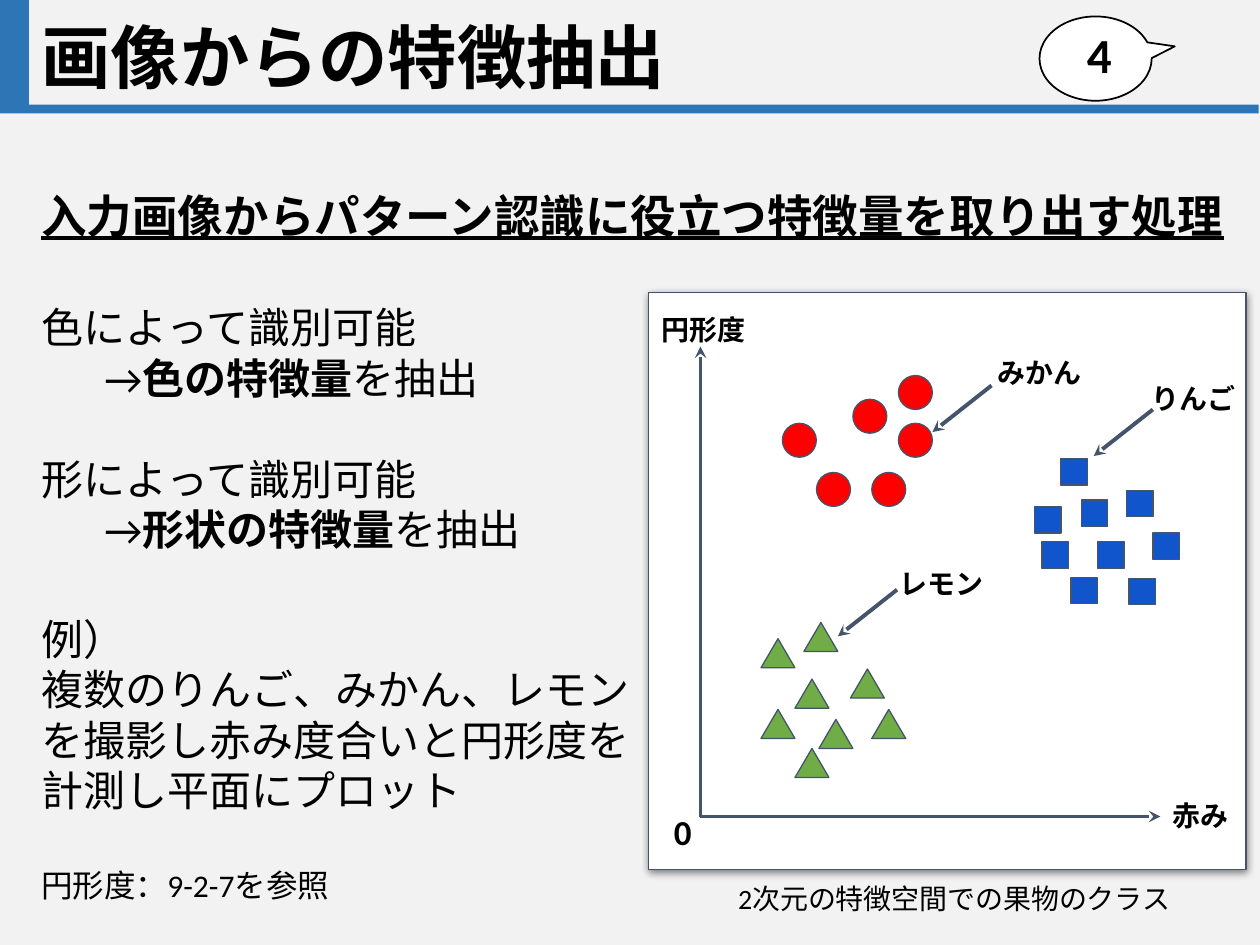
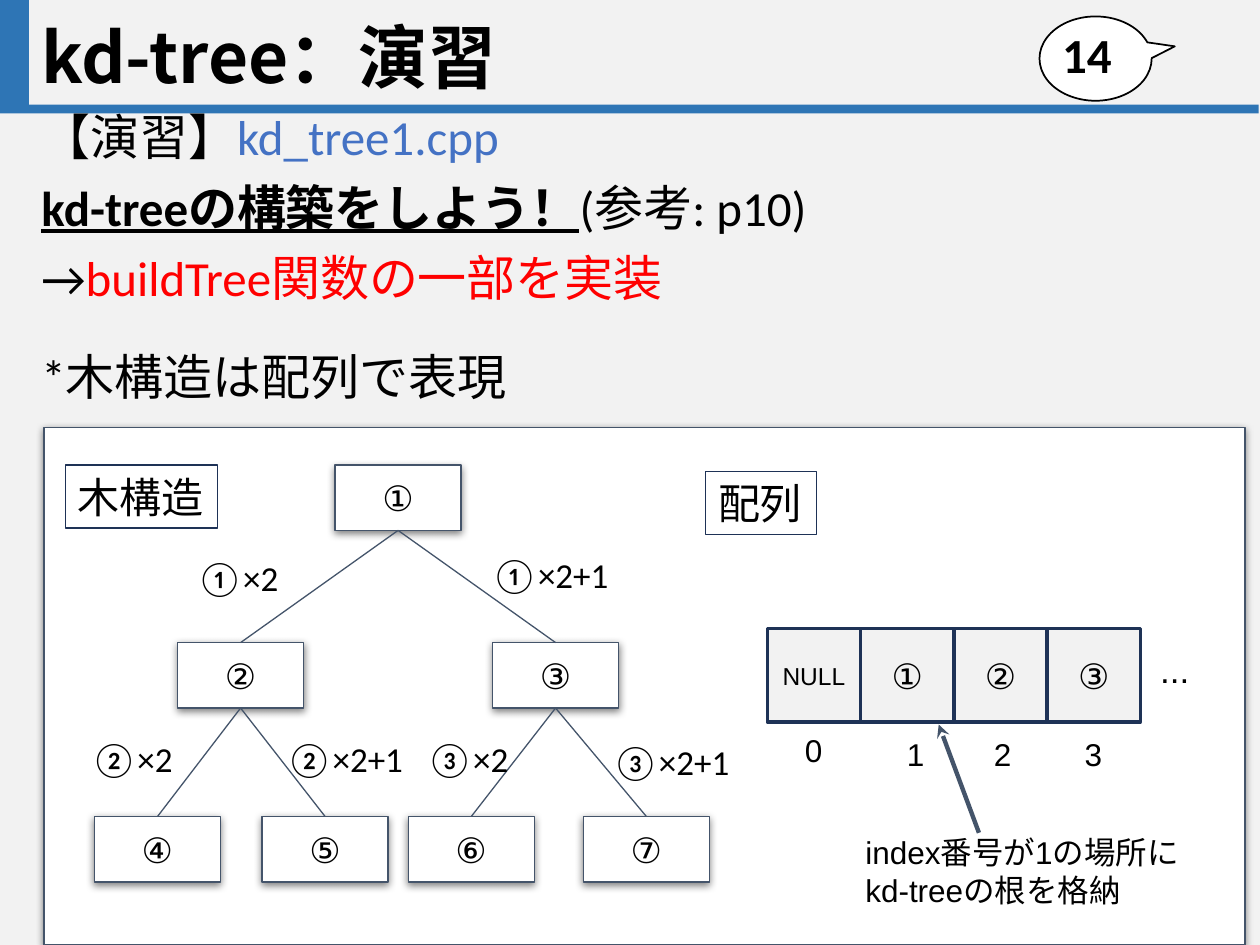
from lxml.etree import SubElement
from pptx import Presentation
from pptx.dml.color import RGBColor
from pptx.enum.shapes import MSO_CONNECTOR, MSO_SHAPE
from pptx.enum.text import MSO_ANCHOR, PP_ALIGN
from pptx.oxml.ns import qn
from pptx.util import Pt

PAPER, BLUE, WHITE, BLACK = "F2F2F2", "2E75B5", "FFFFFF", "000000"
SLATE, NAVY, RED = "44546A", "1E3256", "FF0000"
LEFT, CENTER, RIGHT = PP_ALIGN.LEFT, PP_ALIGN.CENTER, PP_ALIGN.RIGHT
BOLD = {"bold": True}
HEADING = {"bold": True, "underline": True, "size": 26}

FEATURE_TEXT = [
    ([("入力画像からパターン認識に役立つ特徴量を取り出す処理", HEADING)], {}),
    ([("色によって識別可能", {})], {"before": 34}),
    ([("→", {}), ("色の特徴量", BOLD), ("を抽出", {})], {"indent": 36}),
    ([("形によって識別可能", {})], {"before": 29}),
    ([("→", {}), ("形状の特徴量", BOLD), ("を抽出", {})], {"indent": 36}),
    ([("例）", {})], {"before": 34}),
    ([("複数のりんご、みかん、レモン", {})], {}),
    ([("を撮影し赤み度合いと円形度を", {})], {}),
    ([("計測し平面にプロット", {})], {}),
    ([("円形度：9-2-7を参照", {"size": 18})], {"before": 29}),
]
CLUSTERS = [
    (MSO_SHAPE.FLOWCHART_CONNECTOR, RED, 19.4, 19.4,
     [(513.4, 214.6), (466.6, 270), (498.2, 270), (447.1, 241.9), (487.4, 228.2),
      (513.4, 241.9)]),
    (MSO_SHAPE.FLOWCHART_PROCESS, "1155CC", 15.1, 15.1,
     [(606.2, 262.1), (645.1, 330.5), (658.8, 304.6), (627.1, 309.6), (591.1, 289.4),
      (643.7, 280.1), (617.8, 285.8), (612, 329.8), (595.4, 309.6)]),
    (MSO_SHAPE.FLOWCHART_EXTRACT, "70AD47", 19.4, 16.6,
     [(434.9, 405.4), (468, 411.1), (454.3, 388.1), (498.2, 405.4), (486, 382.3),
      (434.9, 365), (454.3, 427.7), (459.4, 355.7)]),
]
FRUIT_LABELS = [
    ("みかん", (563, 195.8), (566.6, 220.3)),
    ("りんご", (650.9, 211), (658.8, 234)),
    ("レモン", (506.9, 316.8), (512.6, 337)),
]
AXIS_LABELS = [
    ("円形度", 16, (370.8, 171.4, 69.1, 34)),
    ("赤み", 16, (663.1, 449.3, 49, 34)),
    ("0", 20, (378, 455.8, 31, 38.9)),
]

EXERCISE_TEXT = [
    ([("【演習】", {}), ("kd_tree1.cpp", {"color": "4472C4"})], {"before": 10}),
    ([("kd-treeの構築をしよう！", {"bold": True, "underline": True}),
      ("(参考: p10)", {})], {"before": 10}),
    ([("→", {}), ("buildTree関数の一部を実装", {"color": RED})], {"before": 10}),
    ([("*木構造は配列で表現", {})], {"before": 26.6}),
]
CIRCLED = "①②③④⑤⑥⑦"
TREE_LEVELS = [
    (265.7, [191.5]),
    (367.2, [101.5, 281.5]),
    (466.6, [54, 149.8, 233.3, 333.4]),
]
EDGE_LABELS = [
    (98.6, 311, 74.2), (269.3, 308.9, 90), (42.5, 414, 65.5),
    (151.9, 414, 90), (234, 414, 66.2), (338.4, 416.2, 90),
]
ARRAY_CELLS = [("NULL", 14), ("①", 20), ("②", 20), ("③", 20)]
INDEX_PLACES = [(452.9, 414), (511.2, 416.2), (560.9, 416.2), (612.7, 416.2)]
TAGS = [("木構造", (37.4, 265.7, 87.1, 36)), ("配列", (403.2, 269.3, 63.4, 36))]


def rgb(color):
    return RGBColor.from_string(color)


def pts(*values):
    return [Pt(v) for v in values]


def add_text(s, paragraphs, size, font="Calibri", align=LEFT, anchor=MSO_ANCHOR.TOP,
             inset=7.2, spacing=None):
    tf = s.text_frame
    tf.word_wrap = True
    tf.vertical_anchor = anchor
    tf.margin_left = tf.margin_right = Pt(7.2)
    tf.margin_top = tf.margin_bottom = Pt(inset)
    for i, (runs, layout) in enumerate(paragraphs):
        p = tf.add_paragraph() if i else tf.paragraphs[0]
        p.alignment = align
        p.space_before = Pt(layout.get("before", 0))
        if spacing:
            p.line_spacing = spacing
        if "indent" in layout:
            pPr = p._p.get_or_add_pPr()
            pPr.set("marL", str(Pt(layout["indent"])))
            pPr.set("indent", "0")
        for text, style in runs:
            r = p.add_run()
            r.text = text
            r.font.size = Pt(style.get("size", size))
            r.font.bold = style.get("bold", False)
            r.font.underline = style.get("underline", False)
            r.font.color.rgb = rgb(style.get("color", BLACK))
            r.font.name = font
            SubElement(r._r.get_or_add_rPr(), qn("a:ea")).set("typeface", font)


def add_box(sp, box, paragraphs, size, **options):
    s = sp.add_textbox(*pts(*box))
    add_text(s, paragraphs, size, **options)
    return s


def line_of(*texts, **style):
    return [([(text, style)], {}) for text in texts]


def add_shape(sp, kind, box, fill=None, line=None, width=0.75, shadow=False):
    s = sp.add_shape(kind, *pts(*box))
    if fill:
        s.fill.solid()
        s.fill.fore_color.rgb = rgb(fill)
    else:
        s.fill.background()
    if line:
        s.line.color.rgb = rgb(line)
        s.line.width = Pt(width)
    else:
        s.line.fill.background()
    s.shadow.inherit = False
    if shadow:
        effects = s._element.spPr.find(qn("a:effectLst"))
        outer = SubElement(effects, qn("a:outerShdw"), blurRad=str(Pt(4.5)),
                           dist=str(Pt(1.5)), dir="5400000", algn="bl", rotWithShape="0")
        color = SubElement(outer, qn("a:srgbClr"), val=BLACK)
        SubElement(color, qn("a:alpha"), val="50000")
    return s


def add_line(sp, start, end, width=0.75, arrow=False):
    c = sp.add_connector(MSO_CONNECTOR.STRAIGHT, *pts(*start, *end))
    c.line.color.rgb = rgb(SLATE)
    c.line.width = Pt(width)
    if arrow:
        SubElement(c.line._get_or_add_ln(), qn("a:tailEnd"), type="stealth")
    SubElement(c._element.spPr, qn("a:effectLst"))
    return c


def add_panel(sp, box):
    return add_shape(sp, MSO_SHAPE.RECTANGLE, box, WHITE, SLATE, shadow=True)


def new_slide(title, number):
    slide = prs.slides.add_slide(prs.slide_layouts[6])
    slide.background.fill.solid()
    slide.background.fill.fore_color.rgb = rgb(PAPER)
    sp = slide.shapes
    add_shape(sp, MSO_SHAPE.RECTANGLE, (0, 59.8, 719.3, 5), BLUE)
    add_shape(sp, MSO_SHAPE.RECTANGLE, (0, 0, 16.6, 60.5), BLUE)
    callout = add_shape(sp, MSO_SHAPE.OVAL_CALLOUT, (594, 9.4, 64.1, 48.2), WHITE, BLACK, 1)
    callout.adjustments[0], callout.adjustments[1] = -0.707, -0.145
    callout._element.spPr.find(qn("a:xfrm")).set("flipH", "1")
    add_box(sp, (16.6, 8.6, 577.4, 52.6), line_of(title, bold=True), 39.6,
            font="Noto Sans CJK JP", anchor=MSO_ANCHOR.MIDDLE, inset=3.6, spacing=0.9)
    add_box(sp, (589, 12.2, 53.3, 37.4), line_of(number, bold=True), 28,
            align=RIGHT, anchor=MSO_ANCHOR.MIDDLE, inset=3.6)
    return sp


def build_features():
    sp = new_slide("画像からの特徴抽出", "4")
    add_box(sp, (16.6, 100.1, 703.4, 432), FEATURE_TEXT, 24)
    add_panel(sp, (370.8, 167, 341.3, 329.8))
    origin = (400.3, 466.6)
    for end in [(400.3, 198), (663.1, 466.6)]:
        add_line(sp, origin, end, 2.25, arrow=True)
    for text, size, box in AXIS_LABELS:
        add_box(sp, box, line_of(text, bold=True), size)
    for kind, color, w, h, places in CLUSTERS:
        for x, y in places:
            add_shape(sp, kind, (x, y, w, h), color, SLATE)
    for text, place, (x, y) in FRUIT_LABELS:
        add_line(sp, (x, y), (x - 33.8, y + 26.6), 2.25, arrow=True)
        add_box(sp, (*place, 69.1, 34), line_of(text, bold=True), 16)
    add_box(sp, (397.4, 496.8, 296, 34), line_of("2次元の特徴空間での果物のクラス"), 16,
            align=CENTER)


def build_tree(sp):
    nodes = []
    for top, lefts in TREE_LEVELS:
        for left in lefts:
            node = add_panel(sp, (left, top, 72, 37.4))
            add_text(node, line_of(CIRCLED[len(nodes)]), 20, font="Arial", align=CENTER,
                     anchor=MSO_ANCHOR.MIDDLE)
            nodes.append(node)
    for child, (x, y, w) in enumerate(EDGE_LABELS, start=1):
        parent = (child - 1) // 2
        edge = add_line(sp, (0, 0), (0, 0))
        edge.begin_connect(nodes[parent], 2)
        edge.end_connect(nodes[child], 0)
        rule = "×2" if child % 2 else "×2+1"
        add_box(sp, (x, y, w, 38.9), line_of(CIRCLED[parent] + rule), 20, align=CENTER)


def build_array(sp):
    cell = 53.3
    for i, (text, size) in enumerate(ARRAY_CELLS):
        s = add_shape(sp, MSO_SHAPE.RECTANGLE, (438.5 + i * cell, 359.3, cell, cell),
                      PAPER, NAVY, 2)
        add_text(s, line_of(text), size, font="Arial", align=CENTER,
                 anchor=MSO_ANCHOR.MIDDLE, inset=3.6)
        add_box(sp, (*INDEX_PLACES[i], 24.5, 29), line_of(str(i)), 18, font="Arial", inset=3.6)
    add_box(sp, (655.9, 367.2, 36, 31.7), line_of("..."), 20, font="Arial", inset=3.6)
    add_box(sp, (487.4, 472.3, 196.6, 51), line_of("index番号が1の場所に", "kd-treeの根を格納"),
            18, font="Arial", inset=3.6)
    add_line(sp, (559.4, 475.9), (536.4, 414), 2.5, arrow=True)


def build_exercise():
    sp = new_slide("kd-tree：演習", "14")
    add_box(sp, (16.6, 61.2, 686.2, 180), EXERCISE_TEXT, 28, inset=3.6, spacing=0.9)
    add_panel(sp, (25.2, 244.1, 686.2, 295.9))
    build_tree(sp)
    build_array(sp)
    for text, box in TAGS:
        s = add_shape(sp, MSO_SHAPE.RECTANGLE, box, line=NAVY)
        add_text(s, line_of(text), 24, font="Arial", inset=3.6)


prs = Presentation()
prs.slide_width, prs.slide_height = pts(720, 540)
build_features()
build_exercise()
prs.save("out.pptx")
